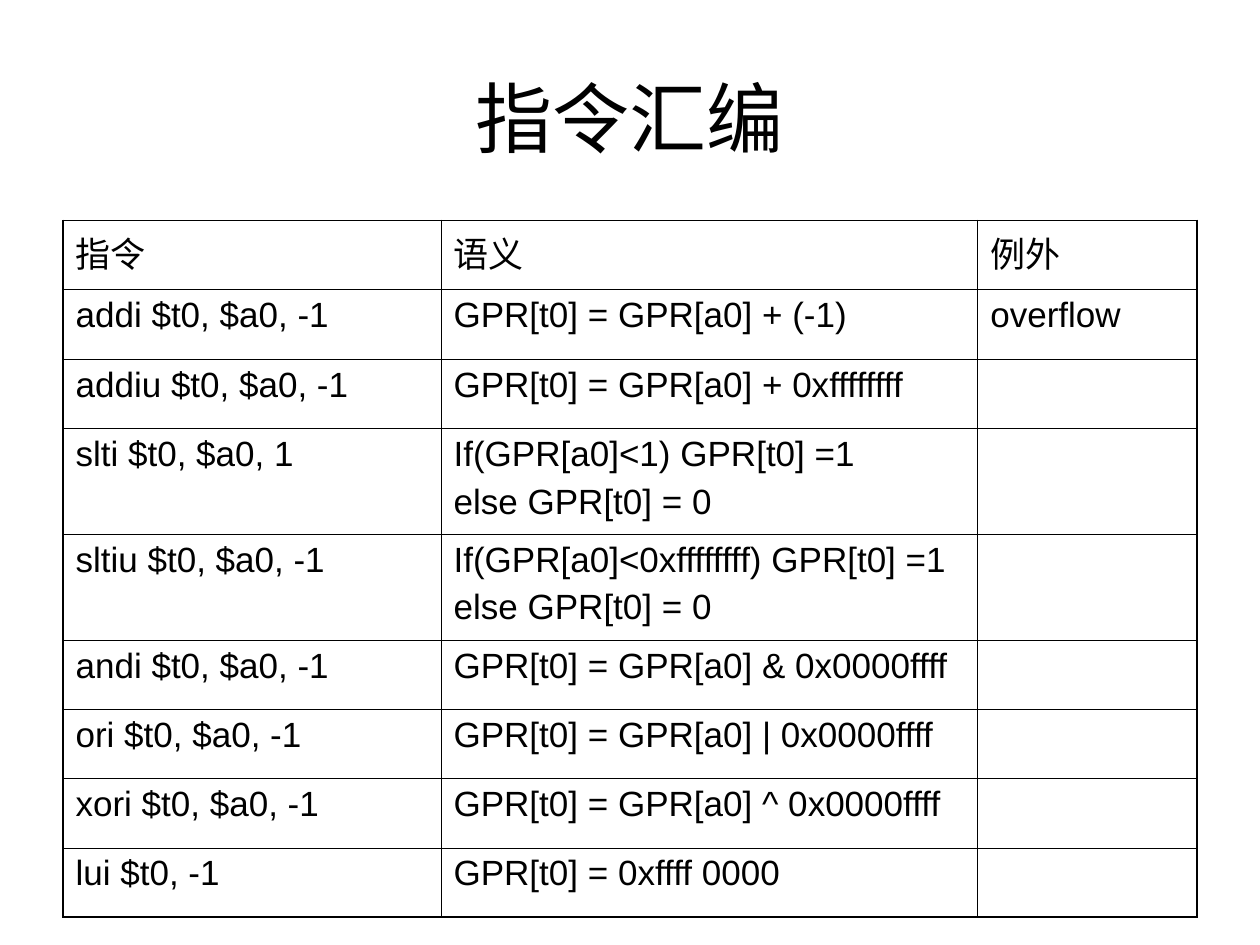
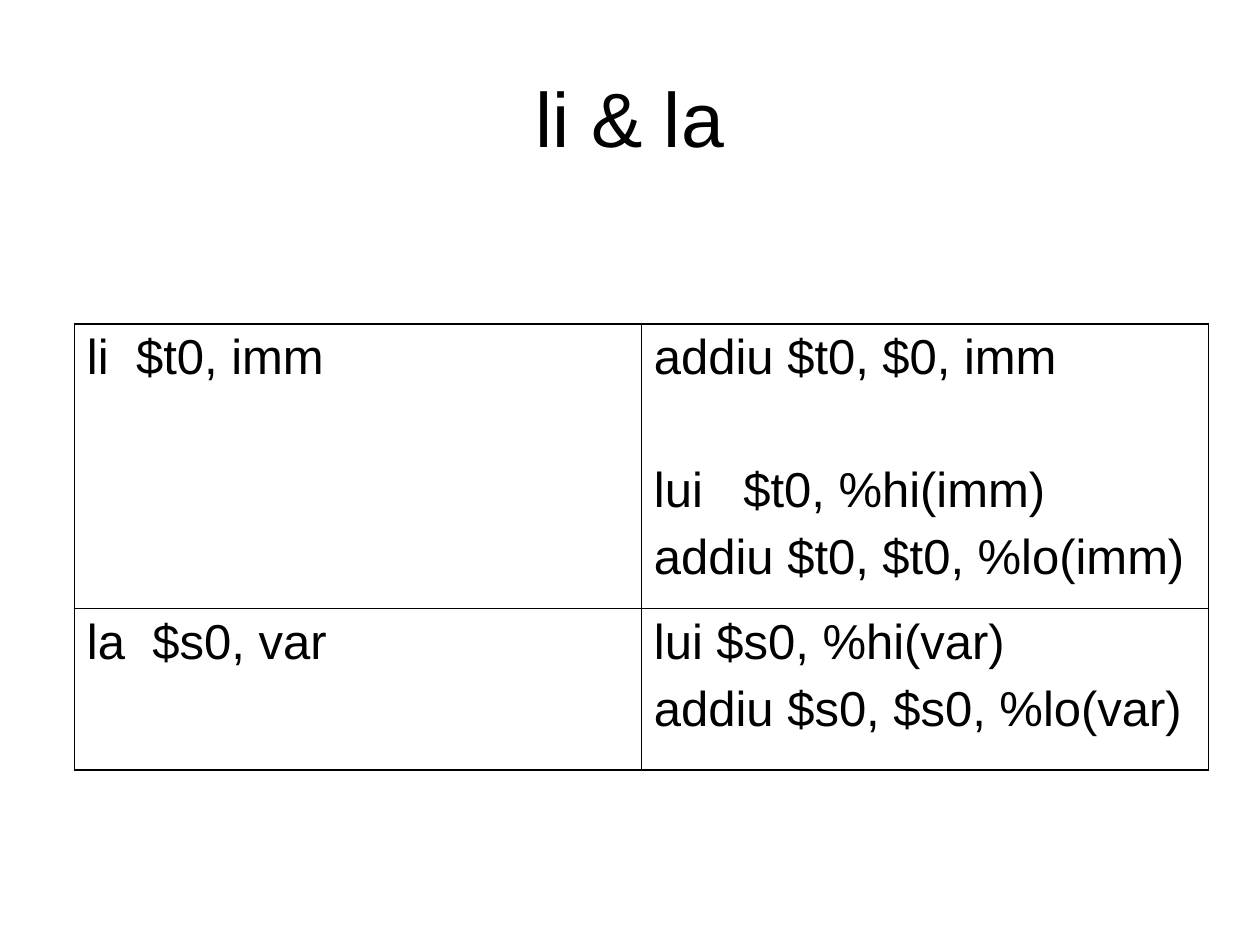
import pptx
import pptx.dml.color
import pptx.enum.text
import pptx.oxml.ns
import pptx.util
from lxml import etree

Inches = pptx.util.Inches
Pt = pptx.util.Pt

COLOURS = {"ink": "000000", "paper": "FFFFFF"}
FONT = "Arial"
OUTER_LINE, INNER_LINE = 1.08, 0.45

INSTRUCTIONS = [
    ("指令", "语义", "例外"),
    ("addi $t0, $a0, -1", "GPR[t0] = GPR[a0] + (-1)", "overflow"),
    ("addiu $t0, $a0, -1", "GPR[t0] = GPR[a0] + 0xffffffff", ""),
    ("slti $t0, $a0, 1", "If(GPR[a0]<1) GPR[t0] =1\nelse GPR[t0] = 0", ""),
    ("sltiu $t0, $a0, -1", "If(GPR[a0]<0xffffffff) GPR[t0] =1\nelse GPR[t0] = 0", ""),
    ("andi $t0, $a0, -1", "GPR[t0] = GPR[a0] & 0x0000ffff", ""),
    ("ori $t0, $a0, -1", "GPR[t0] = GPR[a0] | 0x0000ffff", ""),
    ("xori $t0, $a0, -1", "GPR[t0] = GPR[a0] ^ 0x0000ffff", ""),
    ("lui $t0, -1", "GPR[t0] = 0xffff 0000", ""),
]
PSEUDO_INSTRUCTIONS = [
    ("li\t$t0, imm", "addiu $t0, $0, imm\nlui\t$t0, %hi(imm)\naddiu $t0, $t0, %lo(imm)"),
    ("la\t$s0, var", "lui $s0, %hi(var)\naddiu $s0, $s0, %lo(var)"),
]


def colour(name):
    return pptx.dml.color.RGBColor.from_string(COLOURS[name])


def style_text(frame, size, space_before=0):
    for para in frame.paragraphs:
        para.space_before = Pt(space_before)
        para.font.size = Pt(size)
        for span in para.runs:
            span.font.size = Pt(size)
            span.font.name = FONT
            span.font.color.rgb = colour("ink")


def add_titled_slide(deck, title):
    page = deck.slides.add_slide(deck.slide_layouts[6])
    box = page.shapes.add_textbox(Inches(0.5), Inches(0.3), Inches(9), Inches(1.25))
    frame = box.text_frame
    frame.word_wrap = True
    frame.vertical_anchor = pptx.enum.text.MSO_ANCHOR.MIDDLE
    frame.text = title
    frame.paragraphs[0].alignment = pptx.enum.text.PP_ALIGN.CENTER
    style_text(frame, 44)
    return page


def set_borders(cell, widths):
    """Widths in points, in the order left, right, top, bottom."""
    properties = cell._tc.get_or_add_tcPr()
    qn = pptx.oxml.ns.qn
    for index, (side, width) in enumerate(zip("LRTB", widths)):
        line = etree.Element(qn(f"a:ln{side}"), w=str(int(Pt(width))))
        fill = etree.SubElement(line, qn("a:solidFill"))
        etree.SubElement(fill, qn("a:srgbClr"), val=COLOURS["ink"])
        properties.insert(index, line)


def set_tab_stop(para, position):
    qn = pptx.oxml.ns.qn
    tabs = etree.SubElement(para._p.get_or_add_pPr(), qn("a:tabLst"))
    etree.SubElement(tabs, qn("a:tab"), pos=str(int(Inches(position))), algn="l")


def add_grid(page, left, top, widths, heights, rows, size, space_before):
    frame = page.shapes.add_table(
        len(heights), len(widths), Inches(left), Inches(top),
        Inches(sum(widths)), Inches(sum(heights)))
    table = frame.table
    table.first_row = table.horz_banding = False
    for column, width in zip(table.columns, widths):
        column.width = Inches(width)
    last_row, last_column = len(heights) - 1, len(widths) - 1
    for r, (height, texts) in enumerate(zip(heights, rows)):
        table.rows[r].height = Inches(height)
        for c, text in enumerate(texts):
            cell = table.cell(r, c)
            cell.text_frame.text = text
            style_text(cell.text_frame, size, space_before)
            cell.fill.solid()
            cell.fill.fore_color.rgb = colour("paper")
            at_edge = (c == 0, c == last_column, r == 0, r == last_row)
            set_borders(cell, [OUTER_LINE if edge else INNER_LINE for edge in at_edge])
    return table


def main():
    deck = pptx.Presentation()
    deck.slide_width, deck.slide_height = Inches(10), Inches(7.5)

    # Instruction table: two-line meanings get taller rows
    page = add_titled_slide(deck, "指令汇编")
    heights = [0.84 if "\n" in meaning else 0.55 for _, meaning, _ in INSTRUCTIONS]
    add_grid(page, 0.5, 1.75, [3, 4.26, 1.74], heights, INSTRUCTIONS, 20, 5)

    # Pseudo-instructions and their expansions
    page = add_titled_slide(deck, "li & la")
    table = add_grid(page, 0.59, 2.57, [4.5, 4.5], [2.26, 1.28],
                     PSEUDO_INSTRUCTIONS, 28, 7)
    long_form = table.cell(0, 1).text_frame.paragraphs[1]
    long_form.space_before = Pt(45)
    set_tab_stop(long_form, 0.71)
    for row, position in enumerate([0.39, 0.52]):
        set_tab_stop(table.cell(row, 0).text_frame.paragraphs[0], position)

    deck.save("out.pptx")


if __name__ == "__main__":
    main()
